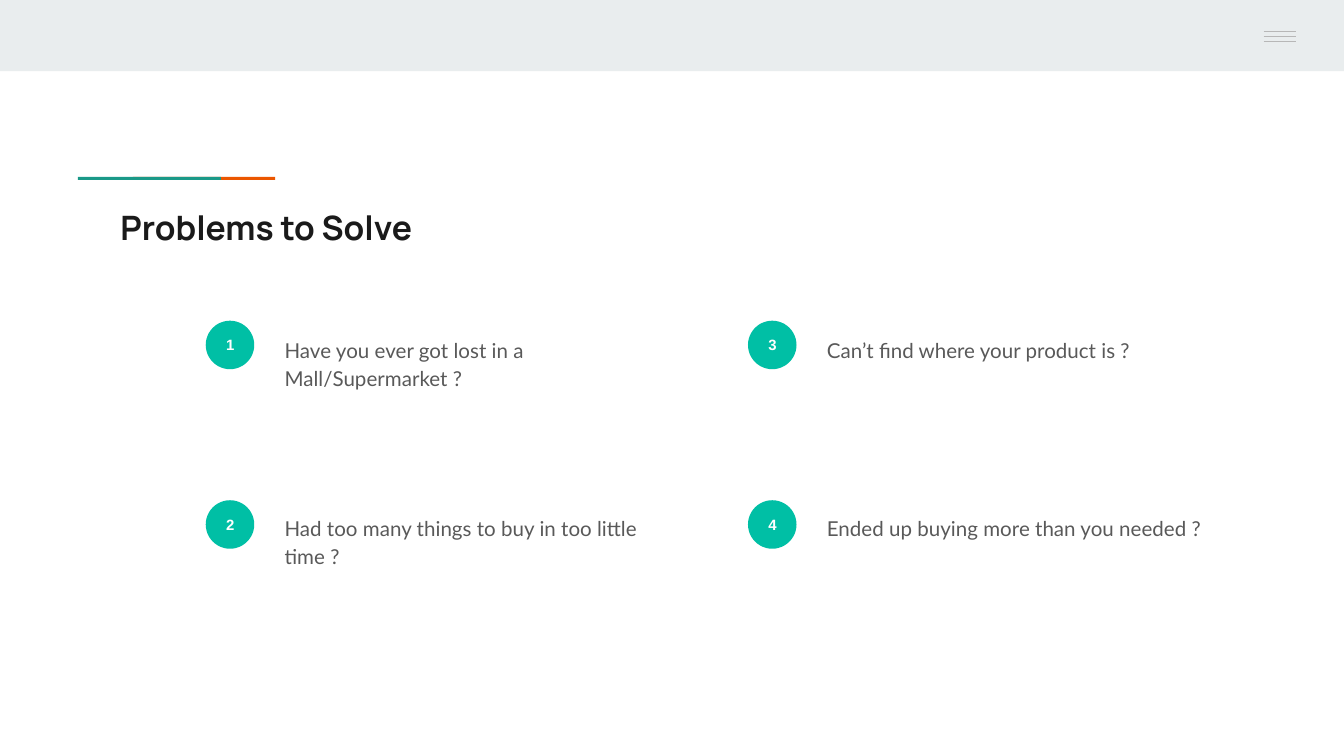
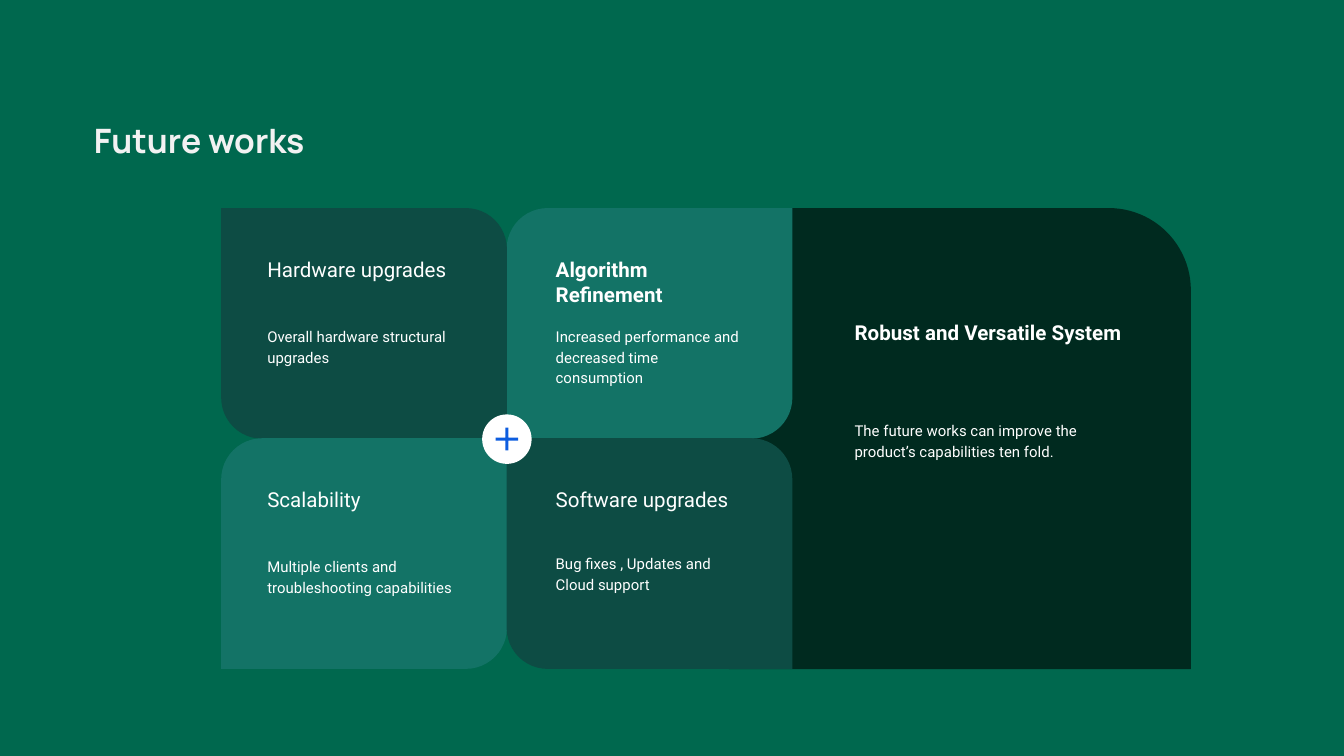
from pptx import Presentation
from pptx.dml.color import RGBColor
from pptx.enum.shapes import MSO_CONNECTOR, MSO_SHAPE
from pptx.enum.text import MSO_ANCHOR, PP_ALIGN
from pptx.oxml.ns import qn
from pptx.util import Pt
from lxml.etree import SubElement

WHITE = RGBColor(0xFF, 0xFF, 0xFF)
OFF_WHITE = RGBColor(0xF2, 0xF2, 0xF2)
INK = RGBColor(0x1A, 0x1A, 0x1A)
BODY_GREY = RGBColor(0x59, 0x59, 0x59)
BAND_GREY = RGBColor(0xE9, 0xED, 0xEE)
MENU_GREY = RGBColor(0xB7, 0xB7, 0xB7)
ORANGE = RGBColor(0xEB, 0x56, 0x00)
ACCENT_TEAL = RGBColor(0x1A, 0x99, 0x88)
BADGE_TEAL = RGBColor(0x00, 0xBF, 0xA5)
GREEN = RGBColor(0x00, 0x68, 0x4E)
DEEP_GREEN = RGBColor(0x00, 0x2A, 0x1F)
LIGHT_TEAL = RGBColor(0x13, 0x73, 0x66)
DARK_TEAL = RGBColor(0x0D, 0x4C, 0x44)
BLUE = RGBColor(0x0D, 0x5D, 0xDF)

TITLE = ("Manrope", 18, True)
BADGE = ("Arial", 8, True)
ANSWER = ("Lato", 11, False)
CARD_HEAD = ("Roboto", 11, False)
CARD_HEAD_BOLD = ("Roboto", 11, True)
CARD_BODY = ("Roboto", 8, False)


def add_block(page, kind, left, top, width, height, fill=None):
    if kind is None:
        return page.shapes.add_textbox(Pt(left), Pt(top), Pt(width), Pt(height))
    block = page.shapes.add_shape(kind, Pt(left), Pt(top), Pt(width), Pt(height))
    block.shadow.inherit = False
    block.fill.solid()
    block.fill.fore_color.rgb = fill
    block.line.fill.background()
    return block


def write(box, text, style, color, body=False, centred=False):
    frame = box.text_frame
    frame.word_wrap = True
    frame.margin_left = frame.margin_right = Pt(7.2)
    frame.margin_top = frame.margin_bottom = Pt(7.2)
    frame.vertical_anchor = MSO_ANCHOR.MIDDLE if centred else MSO_ANCHOR.TOP
    para = frame.paragraphs[0]
    para.text = text
    para.alignment = PP_ALIGN.CENTER if centred else PP_ALIGN.LEFT
    if body:
        para.line_spacing = 1.15
        para.space_after = Pt(16)
    name, size, bold = style
    para.font.name = name
    para.font.size = Pt(size)
    para.font.bold = bold
    para.font.color.rgb = color


deck = Presentation()
deck.slide_width = Pt(720)
deck.slide_height = Pt(405)
pages = []
for background in (WHITE, GREEN):
    page = deck.slides.add_slide(deck.slide_layouts[6])
    page.background.fill.solid()
    page.background.fill.fore_color.rgb = background
    pages.append(page)
problems, future = pages

add_block(problems, MSO_SHAPE.RECTANGLE, 0, 0, 720, 38.2, BAND_GREY)
add_block(problems, MSO_SHAPE.RECTANGLE, 71.2, 94.8, 76.2, 1.6, ORANGE)
add_block(problems, MSO_SHAPE.RECTANGLE, 41.8, 94.8, 76.6, 1.6, ACCENT_TEAL)
add_block(problems, MSO_SHAPE.RECTANGLE, 652.4, 0, 67.6, 36, BAND_GREY)
for step in range(3):
    height = Pt(16.9 + 2.6 * step)
    menu_line = problems.shapes.add_connector(
        MSO_CONNECTOR.STRAIGHT, Pt(677), height, Pt(694.3), height)
    menu_line.line.color.rgb = MENU_GREY
    menu_line.line.width = Pt(0.75)
    SubElement(menu_line._element.spPr, qn("a:effectLst"))

write(add_block(problems, None, 57.4, 103.9, 605.5, 42.4), "Problems to Solve", TITLE, INK)

questions = [
    "Have you ever got lost in a Mall/Supermarket ?",
    "Had too many things to buy in too little time ?",
    "Can’t find where your product is ?",
    "Ended up buying more than you needed ?",
]
for index, question in enumerate(questions):
    column, row = divmod(index, 2)
    left = 110.2 + 290.5 * column
    badge = add_block(problems, MSO_SHAPE.OVAL, left, 171.8 + 96.2 * row, 26, 26, BADGE_TEAL)
    write(badge, str(index + 1), BADGE, WHITE, centred=True)
    answer = add_block(problems, None, left + 35.2, 171.8 + 95.4 * row, 223.2, 82.8)
    write(answer, question, ANSWER, BODY_GREY, body=True)

panel = add_block(future, MSO_SHAPE.ROUND_2_DIAG_RECTANGLE, 348.5, 111.5, 289.5, 247, DEEP_GREEN)
panel.adjustments[0], panel.adjustments[1] = 0, 0.178
head = add_block(future, MSO_SHAPE.RECTANGLE, 450.7, 164.2, 159.1, 47.5, DEEP_GREEN)
write(head, "Robust and Versatile System", CARD_HEAD_BOLD, WHITE)
detail = add_block(future, MSO_SHAPE.RECTANGLE, 450.7, 217.4, 159.1, 88.6, DEEP_GREEN)
write(detail, "The future works can improve the product’s capabilities ten fold.",
      CARD_BODY, WHITE, body=True)

cards = [
    (1, 0, "Algorithm Refinement", CARD_HEAD_BOLD,
     "Increased performance and decreased time consumption", 167, 40.3),
    (0, 0, "Hardware upgrades", CARD_HEAD, "Overall hardware structural upgrades", 167, 40.3),
    (0, 1, "Scalability", CARD_HEAD, "Multiple clients and troubleshooting capabilities", 290.3, 40.3),
    (1, 1, "Software upgrades", CARD_HEAD, "Bug fixes , Updates and Cloud support", 288.7, 64.8),
]
for column, row, heading, head_style, description, detail_top, detail_height in cards:
    left, top = 118.5 + 152.9 * column, 111.5 + 123.3 * row
    text_left = 136.1 + 154.5 * column
    fill = DARK_TEAL if column == row else LIGHT_TEAL
    corners = (0, 0.178) if column == row else (0.178, 0)
    card = add_block(future, MSO_SHAPE.ROUND_2_DIAG_RECTANGLE, left, top, 153.1, 123.6, fill)
    card.adjustments[0], card.adjustments[1] = corners
    head = add_block(future, MSO_SHAPE.RECTANGLE, text_left, top + 19, 114.5, 36, fill)
    write(head, heading, head_style, WHITE)
    detail = add_block(future, MSO_SHAPE.RECTANGLE, text_left, detail_top, 114.5, detail_height, fill)
    write(detail, description, CARD_BODY, WHITE, body=True)

add_block(future, MSO_SHAPE.OVAL, 258.3, 222, 26.5, 26.5, WHITE)
plus = add_block(future, MSO_SHAPE.MATH_PLUS, 263.3, 227, 16.5, 16.5, BLUE)
plus.adjustments[0] = 0.099

write(add_block(future, None, 43.2, 57.1, 286.6, 44.6), "Future works", TITLE, OFF_WHITE)

deck.save("out.pptx")
